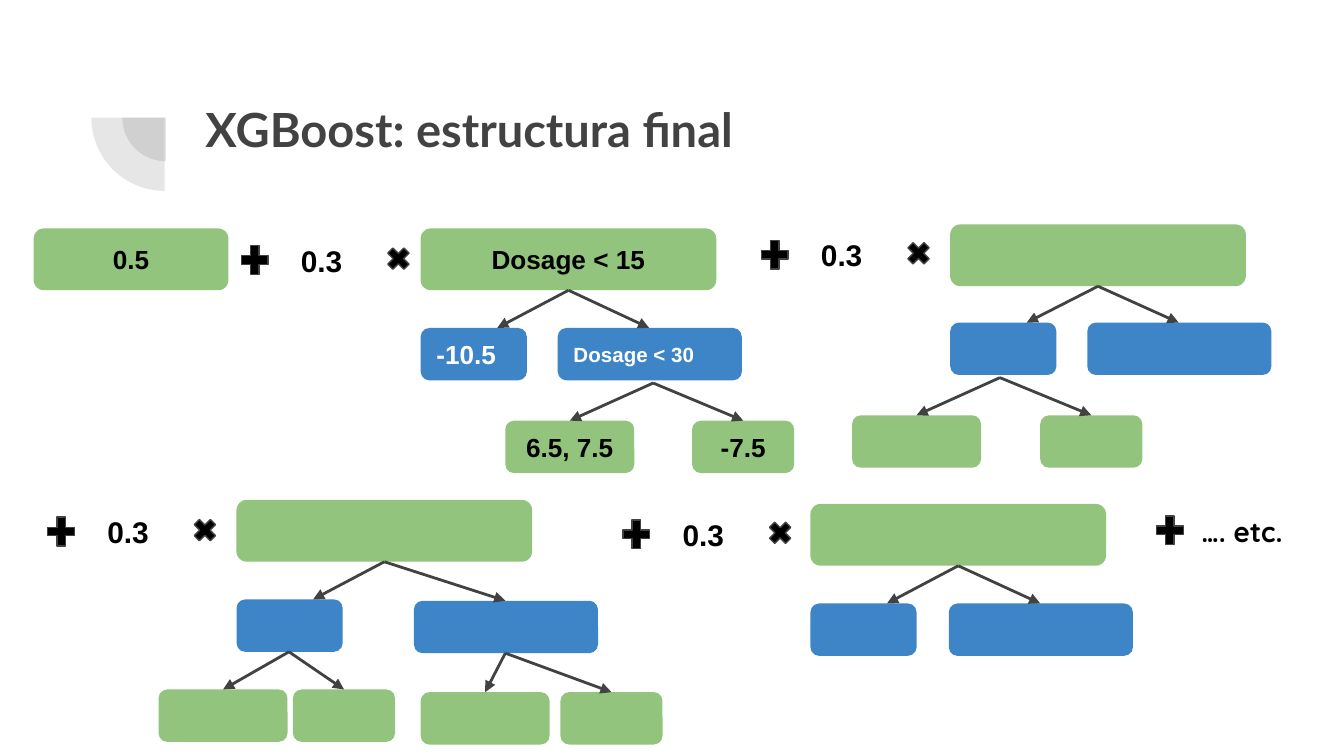
from lxml import etree
from pptx import Presentation
from pptx.dml.color import RGBColor
from pptx.enum.shapes import MSO_CONNECTOR, MSO_SHAPE
from pptx.enum.text import MSO_ANCHOR, PP_ALIGN
from pptx.oxml.ns import qn
from pptx.util import Emu, Pt

PX = 9144
INSET = 10
SLIDE_W = 1000

GREEN = RGBColor(0x93, 0xC4, 0x7D)
BLUE = RGBColor(0x3D, 0x85, 0xC6)
GRAY = RGBColor(0x42, 0x42, 0x42)
BLACK = RGBColor(0, 0, 0)
WHITE = RGBColor(0xFF, 0xFF, 0xFF)

ROUNDED = MSO_SHAPE.ROUNDED_RECTANGLE
RECTANGLE = MSO_SHAPE.RECTANGLE
PIE = MSO_SHAPE.PIE
PLUS = MSO_SHAPE.MATH_PLUS
TIMES = MSO_SHAPE.MATH_MULTIPLY
STRAIGHT = MSO_CONNECTOR.STRAIGHT
LEFT = PP_ALIGN.LEFT
CENTER = PP_ALIGN.CENTER
TOP = MSO_ANCHOR.TOP
MIDDLE = MSO_ANCHOR.MIDDLE

ROOT_W, ROOT_H = 220, 46
NODE_H = 39
LEFT_W, RIGHT_W = 79, 137
LEAF_WIDTHS = (96, 76)


def px(*lengths):
    return [Emu(length * PX) for length in lengths]


def write(shape, text, size, color, align=LEFT, anchor=MIDDLE, font="Arial"):
    frame = shape.text_frame
    frame.word_wrap = True
    frame.vertical_anchor = anchor
    frame.margin_left, frame.margin_right, frame.margin_top, frame.margin_bottom = px(*[INSET] * 4)
    paragraph = frame.paragraphs[0]
    paragraph.text = text
    paragraph.alignment = align
    paragraph.font.name = font
    paragraph.font.size = Pt(size)
    paragraph.font.bold = True
    paragraph.font.color.rgb = color


def add_text(slide, box, text, size, color, font):
    write(slide.shapes.add_textbox(*px(*box)), text, size, color, anchor=TOP, font=font)


def add_filled(slide, kind, box, fill):
    shape = slide.shapes.add_shape(kind, *px(*box))
    shape.shadow.inherit = False
    shape.fill.solid()
    shape.fill.fore_color.rgb = fill
    shape.line.fill.background()
    return shape


def add_quarter(slide, left, top, size):
    quarter = add_filled(slide, PIE, (left, top, size, size), GRAY)
    quarter.adjustments[0] = 54
    quarter.adjustments[1] = 108
    color = quarter._element.spPr.find(qn("a:solidFill"))[0]
    etree.SubElement(color, qn("a:alpha"), val="13000")


def add_node(slide, box, fill, text="", size=14, color=BLACK, align=CENTER):
    node = add_filled(slide, ROUNDED, box, fill)
    if text:
        write(node, text, size, color, align)


def add_operator(slide, kind, box):
    operator = add_filled(slide, kind, box, BLACK)
    operator.line.color.rgb = GRAY
    operator.line.width = Pt(0.75)


def add_plus(slide, left, top):
    add_operator(slide, PLUS, (left, top, 27, 29))


def add_multiplier(slide, left, top):
    add_plus(slide, left, top)
    add_operator(slide, TIMES, (left + 109, top + 2, 23, 23))
    rate = add_filled(slide, RECTANGLE, (left + 38, top, 62, 29), WHITE)
    write(rate, "0.3", 16, BLACK)


def add_arrow(slide, start, end):
    arrow = slide.shapes.add_connector(STRAIGHT, *px(*start, *end))
    arrow.line.color.rgb = GRAY
    arrow.line.width = Pt(1.5)
    properties = arrow._element.spPr
    etree.SubElement(properties.find(qn("a:ln")), qn("a:tailEnd"), type="triangle")
    etree.SubElement(properties, qn("a:effectLst"))


def add_split(slide, left, top, right_gap, drop=74, right_drop=74, texts=("", "", "")):
    root_text, left_text, right_text = texts
    right = left + LEFT_W + right_gap
    fork = (left + ROOT_W // 2, top + ROOT_H)
    add_node(slide, (left, top, ROOT_W, ROOT_H), GREEN, root_text)
    add_node(slide, (left, top + drop, LEFT_W, NODE_H), BLUE, left_text, 14, WHITE, LEFT)
    add_node(slide, (right, top + right_drop, RIGHT_W, NODE_H), BLUE, right_text, 11, WHITE, LEFT)
    add_arrow(slide, fork, (left + 57, top + drop))
    add_arrow(slide, fork, (right + RIGHT_W // 2, top + right_drop))


def add_leaves(slide, fork, lefts, top, texts=("", "")):
    for left, width, text in zip(lefts, LEAF_WIDTHS, texts):
        add_node(slide, (left, top, width, NODE_H), GREEN, text)
        add_arrow(slide, fork, (left + width // 2, top))


def main():
    deck = Presentation()
    deck.slide_width = Emu(SLIDE_W * PX)
    deck.slide_height = Emu(SLIDE_W * PX * 9 // 16)
    slide = deck.slides.add_slide(deck.slide_layouts[6])

    add_quarter(slide, 91, 55, 65)
    add_quarter(slide, 68, 33, 109)
    add_text(slide, (143, 65, 769, 109), "XGBoost: estructura final", 25.2, GRAY, "Lato")

    add_node(slide, (25, 170, 145, ROOT_H), GREEN, "0.5")
    for left, top in ((176, 179), (563, 175), (32, 381), (460, 383)):
        add_multiplier(slide, left, top)

    add_split(slide, 313, 170, 23, texts=("Dosage < 15", "-10.5", "Dosage < 30"))
    add_leaves(slide, (486, 285), (376, 515), 313, ("6.5, 7.5", "-7.5"))

    add_split(slide, 707, 167, 23, drop=73, right_drop=73)
    add_leaves(slide, (744, 281), (634, 774), 309)

    add_split(slide, 176, 372, 53, right_drop=75)
    add_leaves(slide, (215, 485), (118, 218), 513)
    add_leaves(slide, (376, 486), (313, 417), 515)

    add_split(slide, 603, 375, 24)
    add_plus(slide, 857, 380)
    add_text(slide, (884, 373, 91, 45), "…. etc.", 15, BLACK, "Quicksand")

    deck.save("out.pptx")


if __name__ == "__main__":
    main()
